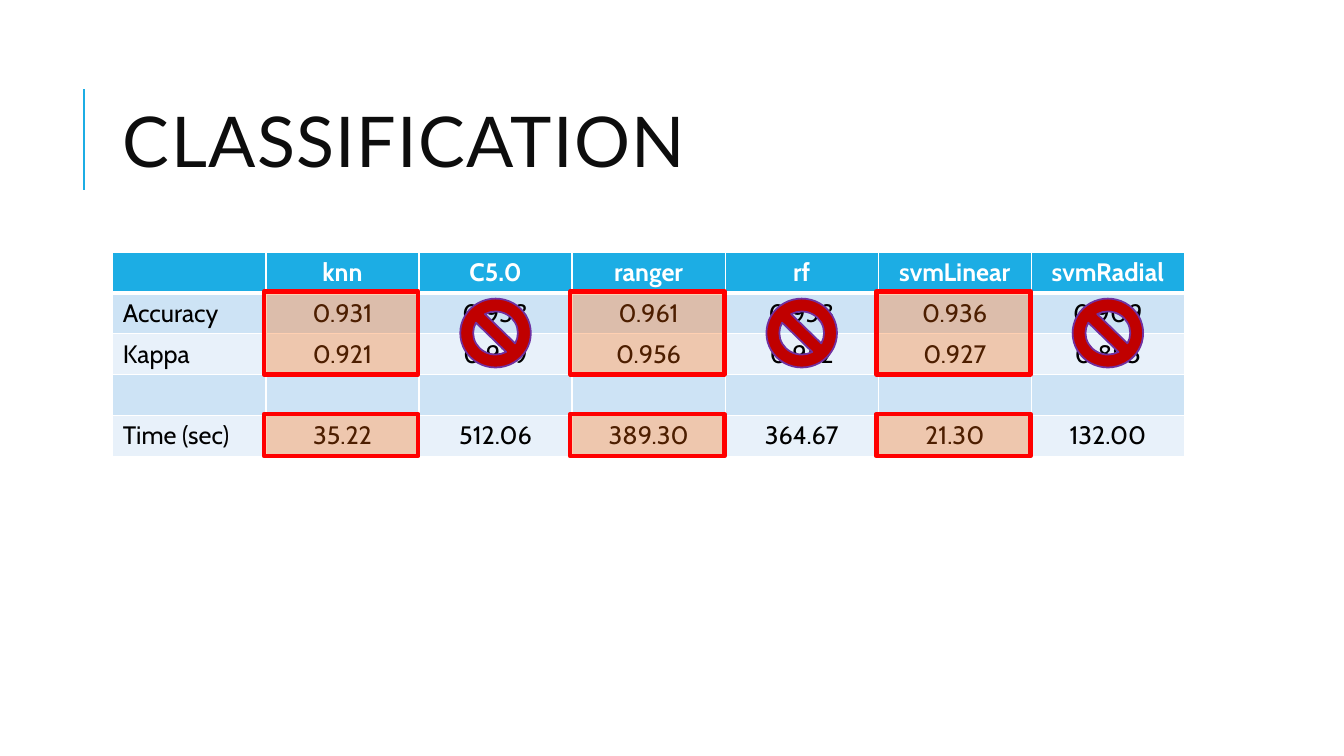
from lxml import etree
from pptx import Presentation
from pptx.dml.color import RGBColor
from pptx.enum import shapes, text
from pptx.oxml import ns
from pptx.util import Pt

BLUE, WHITE = "1CADE4", "FFFFFF"
BANDS = ("CDE3F5", "E8F1FA")
MODELS = ["", "knn", "C5.0", "ranger", "rf", "svmLinear", "svmRadial"]
RESULTS = [
    ["Accuracy", "0.931", "0.938", "0.961", "0.958", "0.936", "0.909"],
    ["Kappa", "0.921", "0.929", "0.956", "0.952", "0.927", "0.895"],
    [""] * 7,
    ["Time (sec)", "35.22", "512.06", "389.30", "364.67", "21.30", "132.00"],
]
KEPT, REJECTED = (1, 3, 5), (2, 4, 6)


def rgb(value):
    return RGBColor.from_string(value)


def add_xml(parent, tag, **attrs):
    return etree.SubElement(parent, ns.qn(tag), attrs)


def format_run(r, color, **values):
    r.font.color.rgb = rgb(color)
    for name, value in values.items():
        setattr(r.font, name, value)


def paint(sp, fill, line, width):
    sp.shadow.inherit = False
    sp.fill.solid()
    sp.fill.fore_color.rgb = rgb(fill)
    sp.line.color.rgb = rgb(line)
    sp.line.width = Pt(width)


# Title with its accent rule
def add_title(s, x, y, w, h):
    sp = s.shapes.title
    for name, value in dict(left=x, top=y, width=w, height=h).items():
        setattr(sp, name, Pt(value))
    tf = sp.text_frame
    tf.auto_size = text.MSO_AUTO_SIZE.NONE
    tf.vertical_anchor = text.MSO_ANCHOR.MIDDLE
    p = tf.paragraphs[0]
    p.alignment, p.line_spacing = text.PP_ALIGN.LEFT, 0.8
    r = p.add_run()
    r.text = "CLASSIFICATION"
    format_run(r, "0D0D0D", name="Lato", size=Pt(50))
    r.font._element.set("spc", "100")

    rule_x, middle, half = Pt(x - 20.9), y + h / 2 - 5.4, 36
    rule = s.shapes.add_connector(shapes.MSO_CONNECTOR.STRAIGHT, rule_x,
                                  Pt(middle + half), rule_x, Pt(middle - half))
    rule.line.color.rgb = rgb(BLUE)
    rule.line.width = Pt(1.5)
    add_xml(rule._element.spPr, "a:effectLst")


# Table cells
def set_borders(cell, **widths):
    tc_pr = cell._tc.get_or_add_tcPr()
    for side in "LRTB":
        width = str(Pt(widths.get(side, 1)))
        line = add_xml(tc_pr, "a:ln" + side, w=width)
        add_xml(add_xml(line, "a:solidFill"), "a:srgbClr", val=WHITE)


def fill_cell(cell, value, row, col):
    set_borders(cell, **{0: {"B": 3}, 1: {"T": 3}}.get(row, {}))
    cell.fill.solid()
    cell.fill.fore_color.rgb = rgb(BANDS[(row - 1) % 2] if row else BLUE)
    p = cell.text_frame.paragraphs[0]
    p.font.size = Pt(18)
    if value:
        p.alignment = text.PP_ALIGN.CENTER if col else text.PP_ALIGN.LEFT
        r = p.add_run()
        r.text = value
        format_run(r, "000000" if row else WHITE, name="Cabin",
                   size=Pt(18), bold=row == 0)


# Marks laid over the table
def add_highlight(s, x, y, w, h):
    box = s.shapes.add_shape(shapes.MSO_SHAPE.RECTANGLE,
                             Pt(x), Pt(y), Pt(w), Pt(h))
    paint(box, "FF6600", "FF0000", 3.25)
    color = box._element.spPr.find(".//" + ns.qn("a:srgbClr"))
    add_xml(color, "a:alpha", val="30000")
    add_xml(box.line._get_or_add_ln(), "a:round")


def add_ban(s, center_x, center_y, w=50.4, h=49.2):
    ban = s.shapes.add_shape(shapes.MSO_SHAPE.NO_SYMBOL, Pt(center_x - w / 2),
                             Pt(center_y - h / 2), Pt(w), Pt(h))
    paint(ban, "C00000", "7030A0", 1.25)


def add_results(s, x, y, w, h):
    rows = [MODELS] + RESULTS
    col_w, row_h = w / len(MODELS), h / len(rows)
    table = s.shapes.add_table(len(rows), len(MODELS),
                               Pt(x), Pt(y), Pt(w), Pt(h)).table
    for column in table.columns:
        column.width = Pt(col_w)
    for i, values in enumerate(rows):
        table.rows[i].height = Pt(row_h)
        for j, value in enumerate(values):
            fill_cell(table.cell(i, j), value, i, j)

    for col in KEPT:
        for row, span in ((1, 2), (4, 1)):
            add_highlight(s, x + col * col_w - 1.4, y + row * row_h - 1,
                          col_w + 0.8, span * row_h + 0.8)
    for col in REJECTED:
        add_ban(s, x + (col + 0.5) * col_w, y + 2 * row_h - 0.5)


prs = Presentation()
prs.slide_width, prs.slide_height = Pt(960), Pt(540)
s = prs.slides.add_slide(prs.slide_layouts[5])
add_title(s, 80.64, 46.1, 765.4, 118)
add_results(s, 80.64, 180, 765.4, 146)
prs.save("out.pptx")
